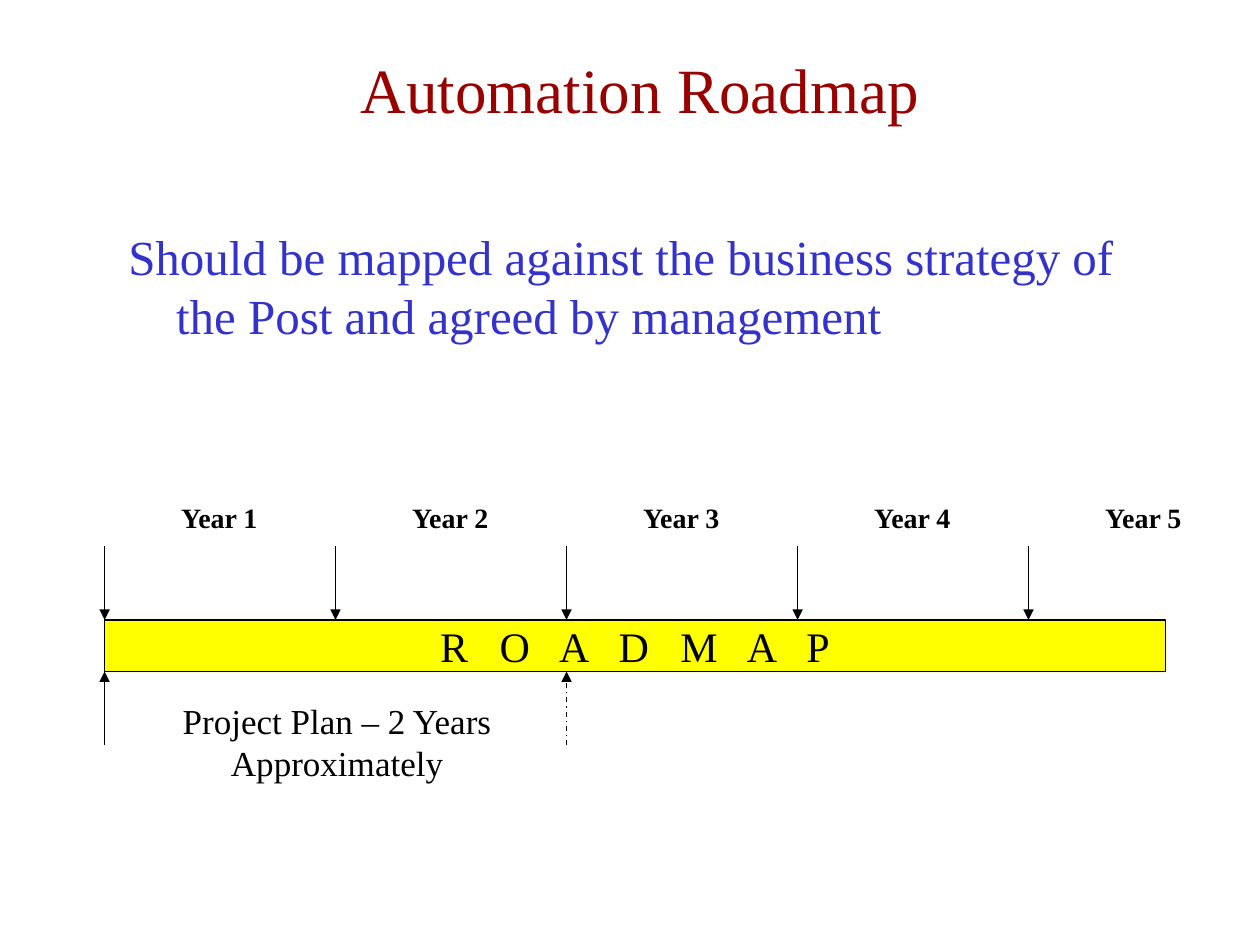
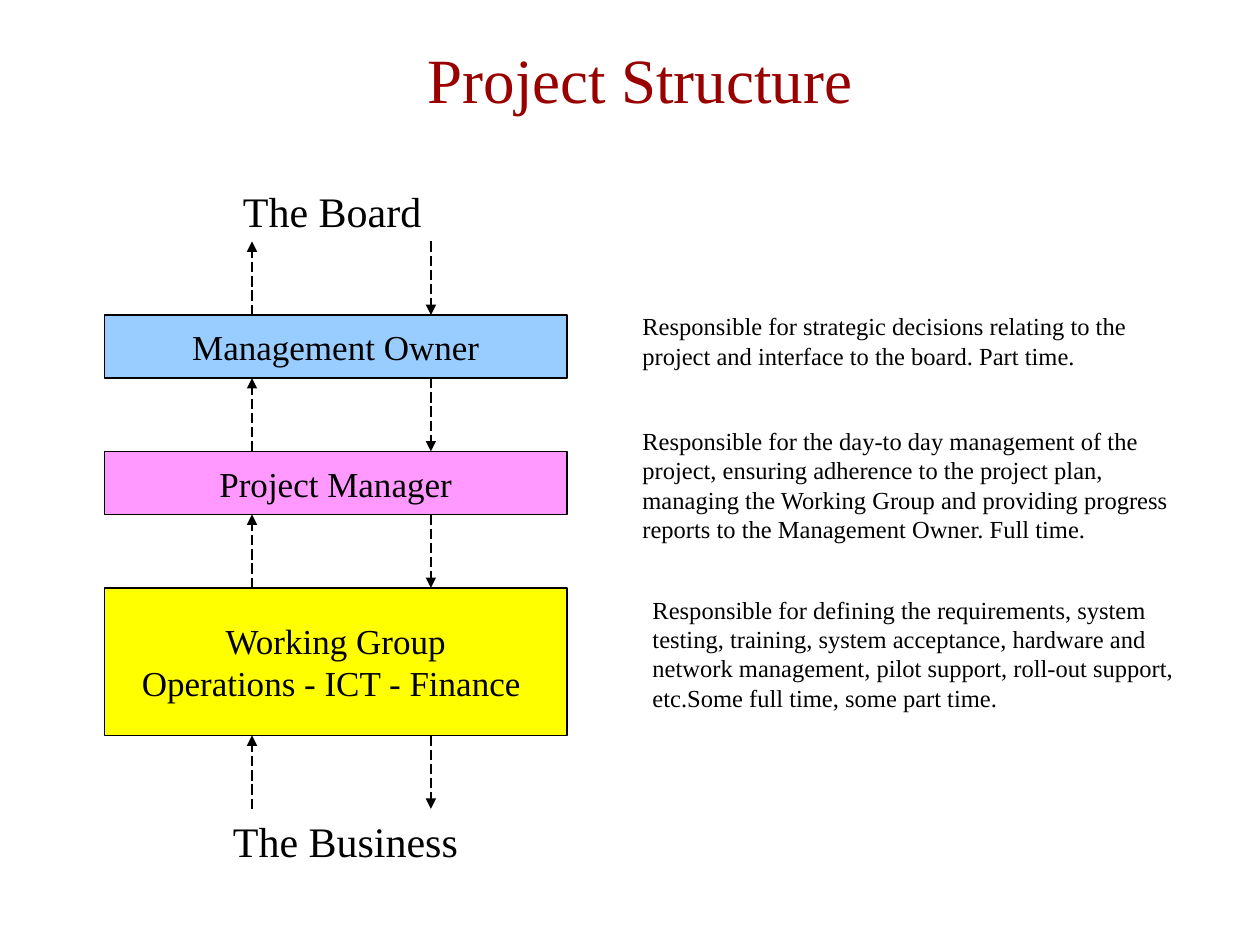
from dataclasses import dataclass
from typing import Optional

from lxml.etree import SubElement
from pptx import Presentation
from pptx.dml.color import RGBColor
from pptx.enum.dml import MSO_LINE
from pptx.enum.shapes import MSO_CONNECTOR, MSO_SHAPE
from pptx.enum.text import MSO_ANCHOR, MSO_AUTO_SIZE, PP_ALIGN
from pptx.oxml.ns import qn
from pptx.util import Inches, Pt

FONT = "Times New Roman"
COLORS = {
    "title": "990000",
    "body": "3333CC",
    "ink": "000000",
    "yellow": "FFFF00",
    "blue": "99CCFF",
    "pink": "FF99FF",
}
LEFT = 0.83
GAP = 7 / 12
YEAR_STEP = 11 / 6
LINE_WIDTH = Pt(0.75)


@dataclass
class Label:
    """A text box with its place and format."""
    text: str
    x: float
    y: float
    w: float
    h: float
    size: int
    bold: bool = False
    color: str = "ink"
    align: PP_ALIGN = PP_ALIGN.LEFT
    wrap: bool = False
    hanging: float = 0


@dataclass
class Bar:
    """A filled, outlined rectangle with centred text."""
    text: str
    y: float
    w: float
    h: float
    fill: str
    size: int = 20
    spacing: int = 0


@dataclass
class Arrow:
    """A vertical arrow that points from start to tip."""
    x: float
    start: float
    tip: float
    dash: Optional[MSO_LINE] = None


def rgb(name: str) -> RGBColor:
    """Return a palette colour."""
    return RGBColor.from_string(COLORS[name])


def put_text(tf, text: str, *, size: int, color: str = "ink", bold: bool = False,
             align: PP_ALIGN = PP_ALIGN.LEFT, anchor: MSO_ANCHOR = MSO_ANCHOR.TOP,
             wrap: bool = False, hanging: float = 0, spacing: int = 0) -> None:
    """Fill a text frame with one paragraph per line of text."""
    tf.auto_size = MSO_AUTO_SIZE.NONE
    tf.word_wrap = wrap
    tf.vertical_anchor = anchor
    for i, line in enumerate(text.split("\n")):
        p = tf.add_paragraph() if i else tf.paragraphs[0]
        p.alignment = align
        if hanging:
            pPr = p._p.get_or_add_pPr()
            pPr.set("marL", str(Inches(hanging)))
            pPr.set("indent", str(-Inches(hanging)))
        r = p.add_run()
        r.text = line
        r.font.name = FONT
        r.font.size = Pt(size)
        r.font.bold = bold
        r.font.color.rgb = rgb(color)
        if spacing:
            r._r.get_or_add_rPr().set("spc", str(spacing * 100))


def add_titled_slide(prs, title: str, y: float):
    """Add a title-only slide with a formatted title."""
    s = prs.slides.add_slide(prs.slide_layouts[5])
    sp = s.shapes.title
    sp.left, sp.top = Inches(LEFT), Inches(y)
    sp.width, sp.height = Inches(8.5), Inches(0.75)
    put_text(sp.text_frame, title, size=36, color="title", align=PP_ALIGN.CENTER,
             anchor=MSO_ANCHOR.MIDDLE, wrap=True)
    return s


def draw_label(s, label: Label) -> None:
    """Draw a text box."""
    sp = s.shapes.add_textbox(Inches(label.x), Inches(label.y),
                              Inches(label.w), Inches(label.h))
    put_text(sp.text_frame, label.text, size=label.size, color=label.color,
             bold=label.bold, align=label.align, wrap=label.wrap,
             hanging=label.hanging)


def draw_bar(s, bar: Bar) -> None:
    """Draw a rectangle at the common left edge."""
    sp = s.shapes.add_shape(MSO_SHAPE.RECTANGLE, Inches(LEFT), Inches(bar.y),
                            Inches(bar.w), Inches(bar.h))
    sp.shadow.inherit = False
    sp.fill.solid()
    sp.fill.fore_color.rgb = rgb(bar.fill)
    sp.line.color.rgb = rgb("ink")
    sp.line.width = LINE_WIDTH
    put_text(sp.text_frame, bar.text, size=bar.size, align=PP_ALIGN.CENTER,
             anchor=MSO_ANCHOR.MIDDLE, spacing=bar.spacing)


def draw_arrow(s, arrow: Arrow) -> None:
    """Draw a connector with a triangle at its tip."""
    sp = s.shapes.add_connector(MSO_CONNECTOR.STRAIGHT, Inches(arrow.x),
                                Inches(arrow.start), Inches(arrow.x),
                                Inches(arrow.tip))
    sp.line.color.rgb = rgb("ink")
    sp.line.width = LINE_WIDTH
    if arrow.dash:
        sp.line.dash_style = arrow.dash
    spPr = sp.element.spPr
    SubElement(spPr.find(qn("a:ln")), qn("a:tailEnd"), type="triangle")
    SubElement(spPr, qn("a:effectLst"))


def build_roadmap(prs) -> None:
    """Build the five-year roadmap slide."""
    s = add_titled_slide(prs, "Automation Roadmap", 0.33)
    draw_label(s, Label("Should be mapped against the business strategy of "
                        "the Post and agreed by management",
                        0.92, 1.75, 8.33, 1.25, 28, color="body", wrap=True,
                        hanging=0.38))
    top, bottom = 4.92, 5.33
    draw_bar(s, Bar("R O A D M A P", top, 8.42, bottom - top, "yellow",
                    size=24, spacing=6))
    for i in range(5):
        x = LEFT + i * YEAR_STEP
        draw_arrow(s, Arrow(x, top - GAP, top))
        draw_label(s, Label(f"Year {i + 1}", x + 0.51, 3.92, 0.83, 0.37, 16,
                            bold=True))
    draw_arrow(s, Arrow(LEFT, bottom + GAP, bottom))
    draw_arrow(s, Arrow(LEFT + 2 * YEAR_STEP, bottom + GAP, bottom,
                        MSO_LINE.DASH_DOT))
    draw_label(s, Label("Project Plan – 2 Years\nApproximately",
                        1.33, 5.5, 2.69, 0.77, 20, align=PP_ALIGN.CENTER))


def build_structure(prs) -> None:
    """Build the project structure slide."""
    s = add_titled_slide(prs, "Project Structure", 0.25)
    levels = [
        ("Management Owner", 0.5, "blue"),
        ("Project Manager", 0.5, "pink"),
        ("Working Group\nOperations - ICT - Finance ", 1.17, "yellow"),
    ]
    y = 2.5
    gap_tops = [y - GAP]
    for text, h, fill in levels:
        draw_bar(s, Bar(text, y, 3.67, h, fill))
        gap_tops.append(y + h)
        y += h + GAP
    for top in gap_tops:
        draw_arrow(s, Arrow(2, top + GAP, top, MSO_LINE.LONG_DASH))
        draw_arrow(s, Arrow(3.42, top, top + GAP, MSO_LINE.LONG_DASH))
    labels = [
        Label("The Board", 1.83, 1.42, 1.61, 0.5, 24),
        Label("The Business", 1.75, 6.42, 1.98, 0.5, 24),
        Label("Responsible for strategic decisions relating to the project and "
              "interface to the board. Part time.",
              5, 2.42, 4.33, 0.57, 14, wrap=True),
        Label("Responsible for the day-to day management of the project, "
              "ensuring adherence to the project plan, managing the Working "
              "Group and providing progress reports to the Management Owner. "
              "Full time.",
              5, 3.33, 4.42, 1.04, 14, wrap=True),
        Label("Responsible for defining the requirements, system testing, "
              "training, system acceptance, hardware and network management, "
              "pilot support, roll-out support, etc.Some full time, some part "
              "time.",
              5.08, 4.67, 4.42, 1.04, 14, wrap=True),
    ]
    for label in labels:
        draw_label(s, label)


def main() -> None:
    """Build and save the presentation."""
    prs = Presentation()
    prs.slide_width, prs.slide_height = Inches(10), Inches(7.5)
    build_roadmap(prs)
    build_structure(prs)
    prs.save("out.pptx")


if __name__ == "__main__":
    main()
